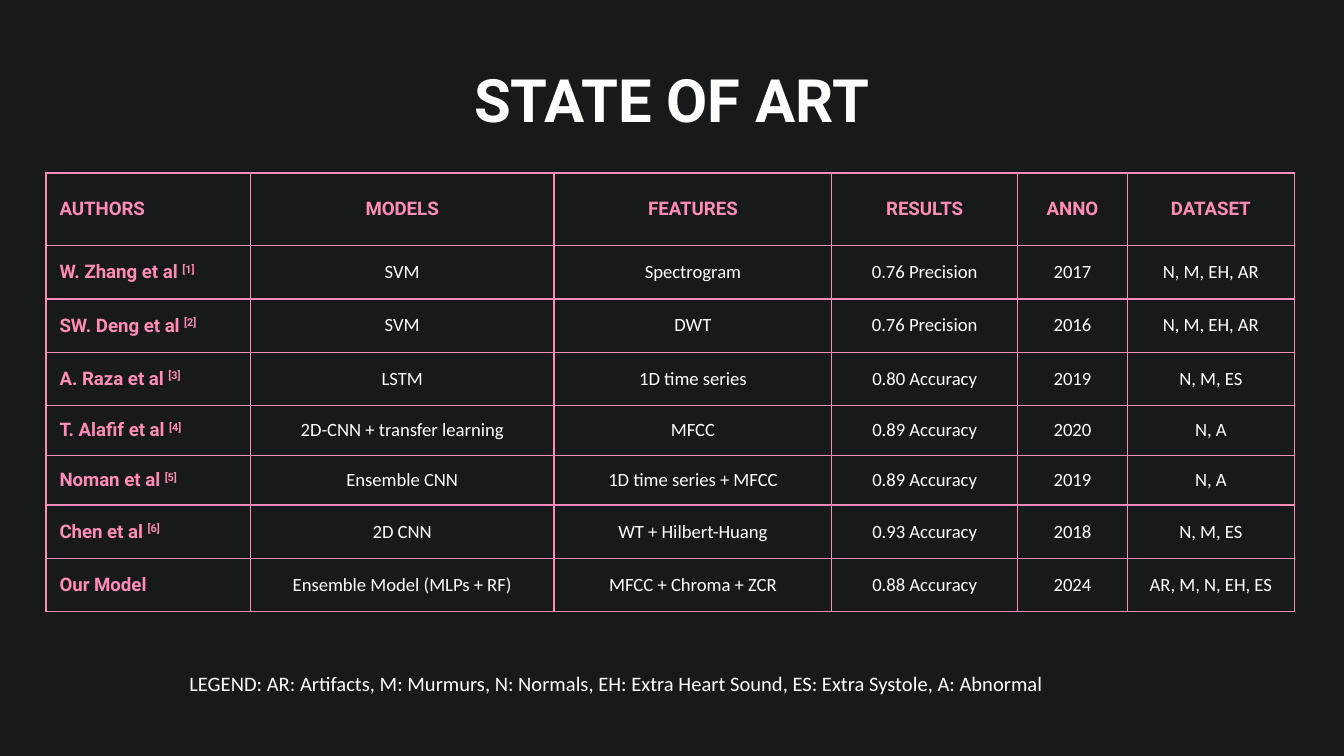
import pptx
import pptx.dml.color
import pptx.enum.text
import pptx.oxml
import pptx.oxml.ns
import pptx.util

Pt = pptx.util.Pt
ALIGN = pptx.enum.text.PP_ALIGN
PINK, WHITE, BACKGROUND = "FF8CB8", "FFFFFF", "18191A"
INSET = Pt(7.2)


def rgb(value):
    return pptx.dml.color.RGBColor.from_string(value)


def style(p, size, name, color, bold=False, align=ALIGN.LEFT):
    p.alignment = align
    for r in p.runs:
        r.font.size = Pt(size)
        r.font.name = name
        r.font.bold = bold
        r.font.color.rgb = rgb(color)


prs = pptx.Presentation()
prs.slide_width, prs.slide_height = Pt(720), Pt(405)
s = prs.slides.add_slide(prs.slide_layouts[6])
s.background.fill.solid()
s.background.fill.fore_color.rgb = rgb(BACKGROUND)

# Title and legend
legend = ("LEGEND: AR: Artifacts, M: Murmurs, N: Normals, EH: Extra Heart Sound, "
          "ES: Extra Systole, A: Abnormal")
for text, box, size, name, bold, align in [
    ("STATE OF ART", (56.7, 26.7, 606.6, 45.4), 32, "Roboto", True, ALIGN.CENTER),
    (legend, (94.3, 352.8, 531.4, 25.9), 11, "Calibri", False, ALIGN.LEFT),
]:
    tf = s.shapes.add_textbox(*map(Pt, box)).text_frame
    tf.word_wrap = True
    tf.margin_left = tf.margin_right = tf.margin_top = tf.margin_bottom = INSET
    tf.text = text
    style(tf.paragraphs[0], size, name, WHITE, bold, align)

# Comparison table
rows = [
    ("AUTHORS", "MODELS", "FEATURES", "RESULTS", "ANNO", "DATASET"),
    ("W. Zhang et al", "SVM", "Spectrogram", "0.76 Precision", "2017", "N, M, EH, AR"),
    ("SW. Deng et al", "SVM", "DWT", "0.76 Precision", "2016", "N, M, EH, AR"),
    ("A. Raza et al", "LSTM", "1D time series", "0.80 Accuracy", "2019", "N, M, ES"),
    ("T. Alafif et al", "2D-CNN + transfer learning", "MFCC", "0.89 Accuracy", "2020", "N, A"),
    ("Noman et al", "Ensemble CNN", "1D time series + MFCC", "0.89 Accuracy", "2019", "N, A"),
    ("Chen et al", "2D CNN", "WT + Hilbert-Huang", "0.93 Accuracy", "2018", "N, M, ES"),
    ("Our Model", "Ensemble Model (MLPs + RF)", "MFCC + Chroma + ZCR", "0.88 Accuracy",
     "2024", "AR, M, N, EH, ES"),
]
widths = [109.4, 162.7, 148.9, 99.4, 59, 89.3]
heights = [38.9, 28.6, 28.6, 28.6, 26.8, 26.3, 28.6, 28.6]

table = s.shapes.add_table(len(rows), len(widths), Pt(24.7), Pt(92.7),
                           Pt(sum(widths)), Pt(sum(heights))).table
table.first_row = table.horz_banding = False
for column, width in zip(table.columns, widths):
    column.width = Pt(width)
for row, height in zip(table.rows, heights):
    row.height = Pt(height)

for i, row in enumerate(rows):
    for j, text in enumerate(row):
        cell = table.cell(i, j)
        cell.margin_left = cell.margin_right = INSET
        cell.margin_top = cell.margin_bottom = INSET
        cell.vertical_anchor = pptx.enum.text.MSO_ANCHOR.MIDDLE
        p = cell.text_frame.paragraphs[0]
        p.text = text
        if j == 0 and text.endswith("et al"):
            p.runs[0].text = text + " "
            r = p.add_run()
            r.text = f"[{i}]"
            r.font._element.set("baseline", "30000")
        align = ALIGN.CENTER if j else ALIGN.LEFT
        if i == 0 or j == 0:
            style(p, 10, "Roboto", PINK, True, align)
        else:
            style(p, 10, "Calibri", WHITE, False, align)

        tcPr = cell._tc.get_or_add_tcPr()
        for side in ("lnL", "lnR", "lnT", "lnB"):
            tcPr.append(pptx.oxml.parse_xml(
                f'<a:{side} {pptx.oxml.ns.nsdecls("a")} w="{Pt(0.75)}"><a:solidFill>'
                f'<a:srgbClr val="{PINK}"/></a:solidFill></a:{side}>'))
        cell.fill.background()

prs.save("out.pptx")
